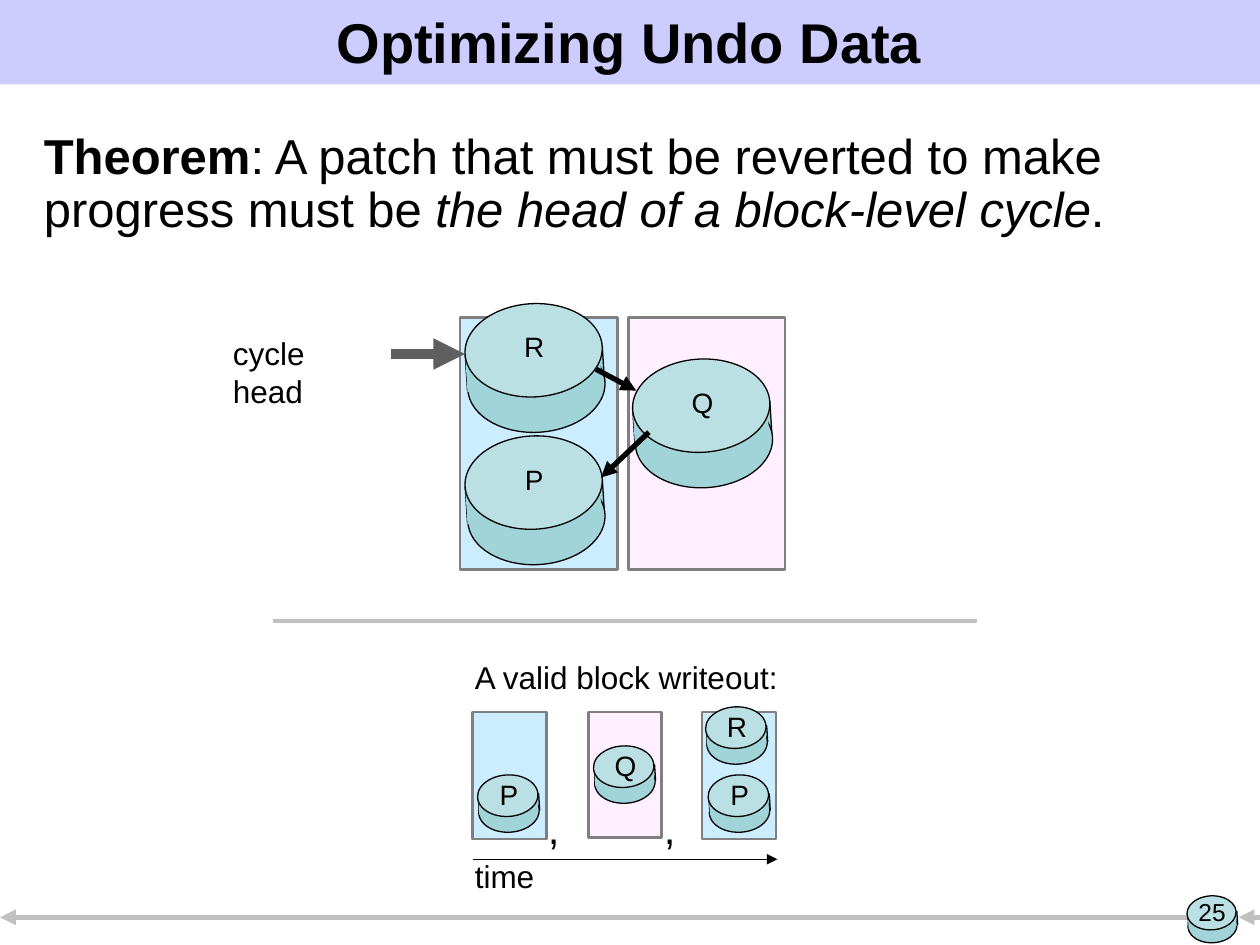
from dataclasses import dataclass

from lxml.etree import SubElement
from pptx import Presentation
from pptx.dml.color import RGBColor
from pptx.enum.shapes import MSO_CONNECTOR as Connector
from pptx.enum.shapes import MSO_SHAPE as Preset
from pptx.enum.text import MSO_ANCHOR as Anchor
from pptx.enum.text import PP_ALIGN as Align
from pptx.oxml.ns import qn
from pptx.util import Pt

PX = 9144
COLORS = {
    "black": "000000",
    "banner": "CCCCFF",
    "disc_top": "BBE0E3",
    "disc_side": "A0D4D8",
    "blue_block": "CCECFF",
    "pink_block": "FFEFFF",
    "block_edge": "808080",
    "rule": "C0C0C0",
    "pointer": "5F5F5F",
}


@dataclass(frozen=True)
class Block:
    left: int
    top: int
    width: int
    height: int
    fill: str


@dataclass(frozen=True)
class Disc:
    name: str
    left: int
    top: int
    width: int = 48
    height: int = 33
    label_offset: int = -3
    label_width: int = 36
    label_size: int = 16


@dataclass(frozen=True)
class Line:
    start: tuple[int, int]
    end: tuple[int, int]
    color: str
    weight: float
    arrow: bool = True


def color(name: str) -> RGBColor:
    return RGBColor.from_string(COLORS[name])


def add_shape(shapes, preset, left: float, top: float, width: float, height: float,
              fill: str, edge: str | None = None, weight: float = 0.75,
              rotation: float = 0):
    box = (round(value * PX) for value in (left, top, width, height))
    shape = shapes.add_shape(preset, *box)
    shape.shadow.inherit = False
    shape.rotation = rotation
    shape.fill.solid()
    shape.fill.fore_color.rgb = color(fill)
    if edge:
        shape.line.color.rgb = color(edge)
        shape.line.width = Pt(weight)
    else:
        shape.line.fill.background()
    return shape


def add_text(slide, text: str | list[tuple[str, str]], left: int, top: int,
             width: int, height: int, *, size: int = 18, style: str = "",
             align=Align.LEFT, anchor=Anchor.TOP, wrap: bool = False,
             spacing: float = 1.0):
    shape = slide.shapes.add_textbox(left * PX, top * PX, width * PX, height * PX)
    frame = shape.text_frame
    frame.word_wrap = wrap
    frame.vertical_anchor = anchor
    paragraph = frame.paragraphs[0]
    paragraph.alignment = align
    paragraph.line_spacing = spacing
    for words, run_style in [(text, style)] if isinstance(text, str) else text:
        run = paragraph.add_run()
        run.text = words
        run.font.name = "Arial"
        run.font.size = Pt(size)
        run.font.bold = run_style == "bold"
        run.font.italic = run_style == "italic"
        run.font.color.rgb = color("black")
    return shape


def add_line(slide, line: Line):
    points = (value * PX for value in line.start + line.end)
    connector = slide.shapes.add_connector(Connector.STRAIGHT, *points)
    connector.line.color.rgb = color(line.color)
    connector.line.width = Pt(line.weight)
    if line.arrow:
        SubElement(connector.line._get_or_add_ln(), qn("a:tailEnd"), type="triangle")
    SubElement(connector._element.spPr, qn("a:effectLst"))
    return connector


def add_block(slide, block: Block):
    return add_shape(slide.shapes, Preset.RECTANGLE, block.left, block.top,
                     block.width, block.height, block.fill, "block_edge", 1.5)


def add_disc(slide, disc: Disc):
    shapes = slide.shapes.add_group_shape().shapes
    left, top, width, height = disc.left, disc.top, disc.width, disc.height
    middle = top + height / 2
    band = height * 0.39
    add_shape(shapes, Preset.RECTANGLE, left + 1, middle, width, band,
              "disc_side", "black", rotation=356.4)
    add_shape(shapes, Preset.OVAL, left + width * 0.02, top + height * 0.38,
              width, height, "disc_side", "black", rotation=356.9)
    add_shape(shapes, Preset.RECTANGLE, left + 1, middle + 1, width * 0.98, band,
              "disc_side", rotation=356.4)
    add_shape(shapes, Preset.OVAL, left, top, width, height,
              "disc_top", "black", rotation=356.9)


def add_disc_label(slide, disc: Disc):
    left = disc.left + (disc.width - disc.label_width) // 2 + 1
    add_text(slide, disc.name, left, top=disc.top + disc.label_offset,
             width=disc.label_width, height=37, size=disc.label_size,
             align=Align.CENTER)


def large_disc(name: str, left: int, top: int) -> Disc:
    return Disc(name, left, top, 109, 74, 16)


PAGE_DISC = Disc("25", 942, 711, 39, 27, -4, 48, 14)
FOOTER_LINES = [
    Line((942, 728), (0, 728), "rule", 3),
    Line((1000, 728), (983, 728), "rule", 3),
]
BLOCKS = [
    Block(499, 252, 124, 200, "pink_block"),
    Block(365, 252, 125, 200, "blue_block"),
    Block(467, 565, 58, 100, "pink_block"),
    Block(375, 565, 59, 101, "blue_block"),
    Block(557, 565, 59, 101, "blue_block"),
]
DISCS = [
    large_disc("P", 369, 346),
    large_disc("R", 369, 241),
    large_disc("Q", 502, 285),
    Disc("P", 379, 615),
    Disc("Q", 471, 592),
    Disc("P", 562, 615),
    Disc("R", 560, 561),
]
LINES = [
    Line((515, 343), (477, 379), "black", 3),
    Line((310, 281), (369, 281), "pointer", 6),
    Line((473, 293), (505, 310), "black", 3),
    Line((217, 493), (775, 493), "rule", 2.25, arrow=False),
    Line((375, 682), (617, 682), "black", 0.75),
]
THEOREM = [
    ("Theorem", "bold"),
    (": A patch that must be reverted to make progress must be ", ""),
    ("the head of a block-level cycle", "italic"),
    (".", ""),
]


def main():
    presentation = Presentation()
    presentation.slide_width = 1000 * PX
    presentation.slide_height = 750 * PX
    slide = presentation.slides.add_slide(presentation.slide_layouts[6])

    add_shape(slide.shapes, Preset.RECTANGLE, 0, 0, 1000, 67, "banner")
    add_text(slide, "Optimizing Undo Data", 8, 4, 983, 58, size=32, style="bold",
             align=Align.CENTER, anchor=Anchor.MIDDLE, wrap=True)
    add_text(slide, THEOREM, 25, 100, 950, 175, size=28, wrap=True, spacing=0.9)

    for line in FOOTER_LINES:
        add_line(slide, line)
    for block in BLOCKS:
        add_block(slide, block)
    for disc in [PAGE_DISC, *DISCS]:
        add_disc(slide, disc)
        add_disc_label(slide, disc)
    for line in LINES:
        add_line(slide, line)

    add_text(slide, "cycle head", 175, 260, 139, 40)
    add_text(slide, "A valid block writeout:", 367, 517, 262, 40)
    add_text(slide, "time", 367, 675, 67, 40)
    for left in (425, 517):
        add_text(slide, ",", left, 632, 29, 50, size=24)

    presentation.save("out.pptx")


if __name__ == "__main__":
    main()
